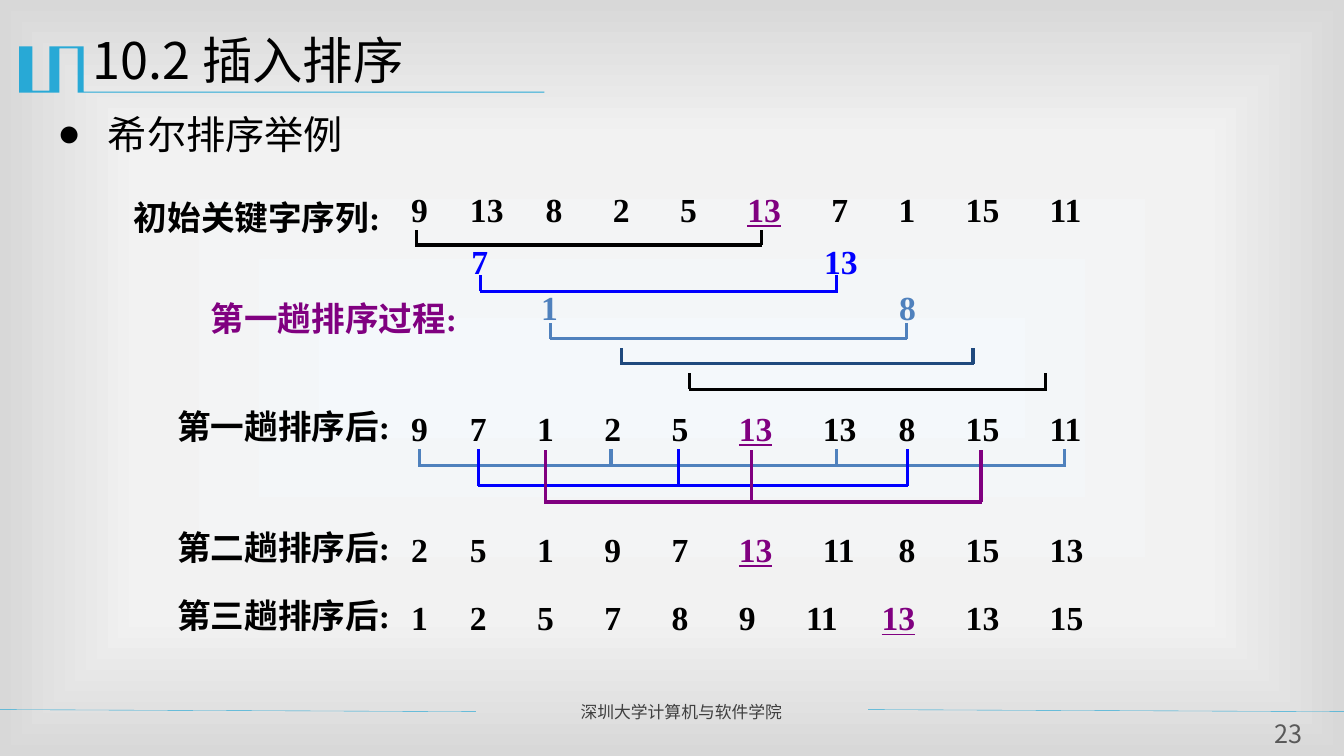
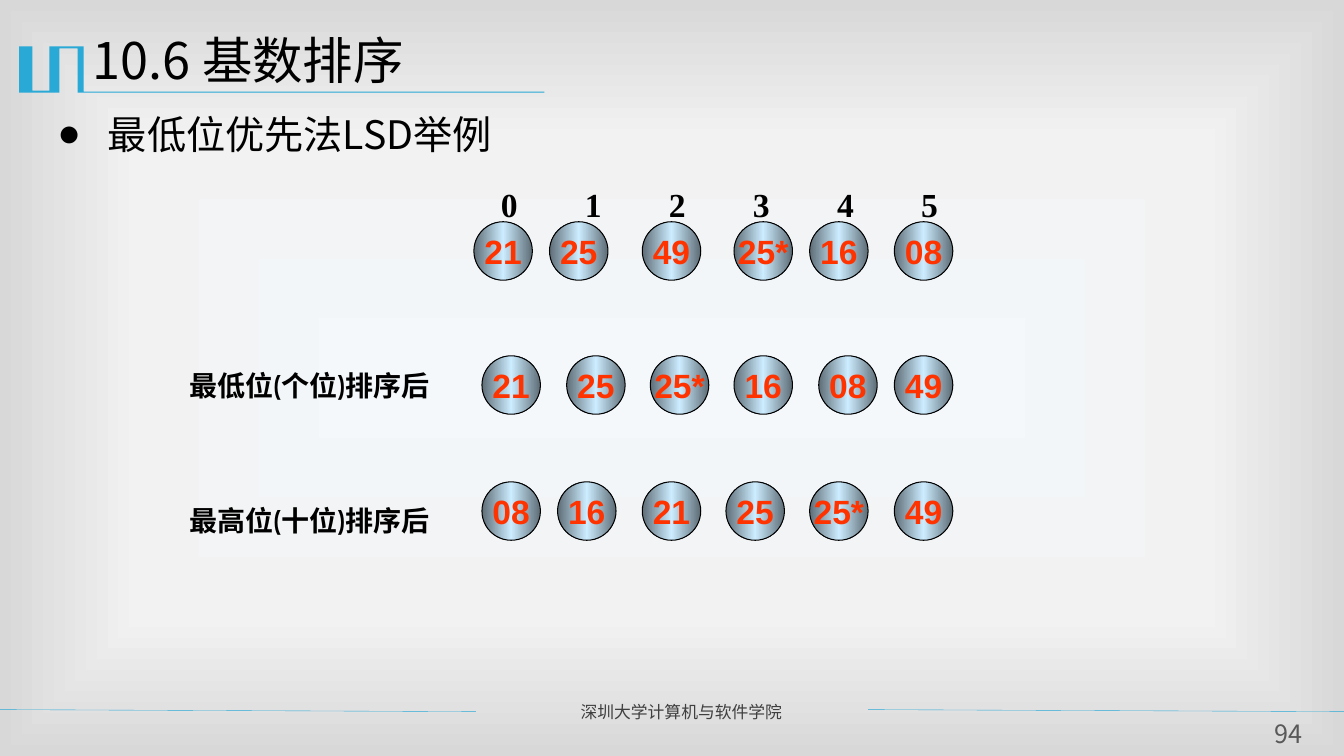
from itertools import accumulate

from lxml.etree import SubElement
from pptx import Presentation
from pptx.dml.color import RGBColor
from pptx.enum.shapes import MSO_CONNECTOR, MSO_SHAPE
from pptx.enum.text import MSO_ANCHOR, PP_ALIGN
from pptx.oxml.ns import qn
from pptx.util import Inches, Pt

SANS, SERIF = "Noto Sans CJK SC", "Times New Roman"
BLACK, BLUE, STEEL, NAVY, PURPLE = "000000", "0000FF", "4F81BD", "1F497D", "800080"
ACCENT, FOOTER_GREY, NUMBER_GREY, RED = "28A9D6", "3F3F3F", "595959", "FF3300"
BACKGROUND = [(0, "F4F8FB"), (63, "F2F2F2"), (100, "D8D8D8")]
BALL_FILL = [(0, "5E6D76"), (50, "CCECFF"), (100, "5E6D76")]

FOOTER = "深圳大学计算机与软件学院"
# Outline in hundredths of an inch
TITLE_MARK = [
    (82, 46), (83, 46), (83, 91), (540, 91), (540, 92), (77, 92), (77, 48), (59, 48),
    (59, 92), (19, 92), (19, 46), (32, 46), (32, 90), (49, 90), (49, 46),
]

# Key rows: top, keys, index of the marked key, indices followed by a narrow gap
KEY_ROWS = [
    (1.86, "9 13 8 2 5 13 7 1 15 11", 5, (0, 1)),
    (4.03, "9 7 1 2 5 13 13 8 15 11", 5, (0, 6)),
    (5.23, "2 5 1 9 7 13 11 8 15 13", 5, (0, 6)),
    (5.91, "1 2 5 7 8 9 11 13 13 15", 7, (0, 6)),
]
ROW_LABELS = [
    (1.23, 1.94, 0.43, "初始关键字序列:", BLACK),
    (1.99, 2.94, 0.43, "第一趟排序过程:", PURPLE),
    (1.66, 4.03, 0.39, "第一趟排序后:", BLACK),
    (1.66, 5.23, 0.39, "第二趟排序后:", BLACK),
    (1.66, 5.91, 0.39, "第三趟排序后:", BLACK),
]
# Swapped keys: left, top, key, colour
SWAPPED_KEYS = [
    (4.46, 2.39, "7", BLUE), (8.04, 2.39, "13", BLUE),
    (5.15, 2.85, "1", STEEL), (8.7, 2.85, "8", STEEL),
]
# Brackets: colour, top of the ticks, base line, x of each tick
BRACKETS = [
    (BLACK, 2.28, 2.43, (4.13, 7.55)),
    (BLUE, 2.73, 2.89, (4.77, 8.3)),
    (STEEL, 3.2, 3.36, (5.46, 8.99)),
    (NAVY, 3.45, 3.61, (6.16, 9.65)),
    (BLACK, 3.7, 3.86, (6.84, 10.37)),
    (STEEL, 4.45, 4.62, (4.16, 6.06, 8.3, 10.56)),
    (BLUE, 4.45, 4.82, (4.75, 6.73, 9)),
    (PURPLE, 4.46, 4.98, (5.41, 7.45, 9.73)),
]

# Ball rows: top, then each value with its left edge
BALL_ROWS = [
    (2.2, [("21", 4.7), ("25", 5.45), ("49", 6.37), ("25*", 7.28), ("16", 8.03), ("08", 8.87)]),
    (3.53, [("21", 4.78), ("25", 5.62), ("25*", 6.45), ("16", 7.28), ("08", 8.12), ("49", 8.87)]),
    (4.78, [("08", 4.78), ("16", 5.53), ("21", 6.37), ("25", 7.2), ("25*", 8.03), ("49", 8.87)]),
]
BALL_SIZE = 0.58
PASS_LABELS = ["最低位(个位)排序后", "最高位(十位)排序后"]


def rgb(value):
    return RGBColor.from_string(value)


def style(para, size, font, color, bold=False):
    for span in para.runs:
        span.font.size, span.font.name, span.font.bold = Pt(size), font, bold
        span.font.color.rgb = rgb(color)
        SubElement(span.font._element, qn("a:ea"), typeface=SANS)


def set_gradient(owner, fill, stops, direction):
    """Fill with the stops; direction adds the linear or path element."""
    fill.gradient()
    gradient = owner.element.find(".//" + qn("a:gradFill"))
    for child in list(gradient):
        gradient.remove(child)
    stop_list = SubElement(gradient, qn("a:gsLst"))
    for percent, color in stops:
        stop = SubElement(stop_list, qn("a:gs"), pos=str(percent * 1000))
        SubElement(stop, qn("a:srgbClr"), val=color)
    direction(gradient)


def left_to_right(gradient):
    SubElement(gradient, qn("a:lin"), ang="0", scaled="0")


def from_centre(gradient):
    rect = SubElement(gradient, qn("a:path"), path="rect")
    SubElement(rect, qn("a:fillToRect"), l="50000", t="50000", r="50000", b="50000")


def add_line(page, start, end, color, width):
    line = page.shapes.add_connector(
        MSO_CONNECTOR.STRAIGHT, *[Inches(value) for value in (*start, *end)])
    line.line.color.rgb, line.line.width = rgb(color), Pt(width)
    SubElement(line.element.spPr, qn("a:effectLst"))
    return line


def add_text(page, at, text, size, font, color, bold=False, wrap=False,
             align=PP_ALIGN.LEFT, anchor=MSO_ANCHOR.MIDDLE):
    box = page.shapes.add_textbox(*[Inches(value) for value in at])
    frame = box.text_frame
    frame.text = text
    frame.word_wrap, frame.vertical_anchor = wrap, anchor
    for para in frame.paragraphs:
        para.alignment = align
        style(para, size, font, color, bold)
    return box


def set_tabs(para, positions):
    """Add left tab stops, given in points from the text edge."""
    tabs = SubElement(para._p.get_or_add_pPr(), qn("a:tabLst"))
    for position in positions:
        SubElement(tabs, qn("a:tab"), pos=str(Pt(position)), algn="l")


def add_key_row(page, top, keys, marked, narrow):
    keys = keys.split()
    box = add_text(page, (3.98, top, 7, 0.43), "", 24, SERIF, BLACK, wrap=True)
    para = box.text_frame.paragraphs[0]
    steps = [12 * len(key) + (30 if index in narrow else 36)
             for index, key in enumerate(keys[:-1])]
    set_tabs(para, accumulate(steps))
    parts = ["\t".join(keys[:marked]) + "\t", keys[marked], "\t" + "\t".join(keys[marked + 1:])]
    for part in parts:
        para.add_run().text = part
    style(para, 24, SERIF, BLACK, bold=True)
    marked_font = para.runs[1].font
    marked_font.underline, marked_font.color.rgb = True, rgb(PURPLE)


def add_bracket(page, color, top, base, ticks):
    add_line(page, (ticks[0] - 0.01, base), (ticks[-1] + 0.01, base), color, 2.25)
    for x in ticks:
        add_line(page, (x, base), (x, top), color, 2.25)


def add_ball(page, left, top, value):
    size = Inches(BALL_SIZE)
    ball = page.shapes.add_shape(MSO_SHAPE.OVAL, Inches(left), Inches(top), size, size)
    ball.shadow.inherit = False
    set_gradient(ball, ball.fill, BALL_FILL, left_to_right)
    ball.line.color.rgb, ball.line.width = rgb(BLACK), Pt(0.75)
    frame = ball.text_frame
    frame.text = value
    frame.word_wrap, frame.vertical_anchor = False, MSO_ANCHOR.MIDDLE
    frame.paragraphs[0].alignment = PP_ALIGN.CENTER
    style(frame.paragraphs[0], 24, "Arial", RED, bold=True)


def build_master(deck, page):
    """Draw the shared parts on a page, then hand them to its master."""
    master = deck.slide_master
    set_gradient(master, master.background.fill, BACKGROUND, from_centre)
    outline = page.shapes.build_freeform(*TITLE_MARK[0], scale=Inches(0.01))
    outline.add_line_segments(TITLE_MARK[1:], close=True)
    mark = outline.convert_to_shape()
    mark.shadow.inherit = False
    mark.fill.solid()
    mark.fill.fore_color.rgb = rgb(ACCENT)
    mark.line.fill.background()
    rules = [add_line(page, (x, 7.04), (x + 4.72, 7.06), ACCENT, 0.25) for x in (0, 8.61)]
    footer = add_text(page, (5.66, 6.91, 2.85, 0.3), FOOTER, 12, SANS, FOOTER_GREY,
                      wrap=True, anchor=MSO_ANCHOR.TOP)
    for part in (mark, *rules, footer):
        master.shapes.element.append(part.element)


def add_page(deck, title, topic, number):
    page = deck.slides.add_slide(deck.slide_layouts[1])
    heading, body = page.placeholders
    for holder, at, text, size in ((heading, (0.82, 0.24, 12, 0.87), title, 36),
                                   (body, (0.47, 1.04, 12.13, 5.63), topic, 28)):
        holder.left, holder.top, holder.width, holder.height = [Inches(value) for value in at]
        holder.text_frame.text = text
        holder.text_frame.vertical_anchor = MSO_ANCHOR.TOP
        para = holder.text_frame.paragraphs[0]
        para.alignment, para.space_before = PP_ALIGN.LEFT, Pt(0)
        style(para, size, SANS, BLACK)
    props = body.text_frame.paragraphs[0]._p.get_or_add_pPr()
    props.set("marL", str(Inches(0.5)))
    props.set("indent", str(Inches(-0.5)))
    SubElement(props, qn("a:buFont"), typeface="Arial")
    SubElement(props, qn("a:buChar"), char="●")
    number_box = add_text(page, (12.48, 7.13, 0.59, 0.31), number, 18, SANS, NUMBER_GREY,
                          align=PP_ALIGN.CENTER, anchor=MSO_ANCHOR.TOP)
    frame = number_box.text_frame
    frame.margin_left = frame.margin_top = frame.margin_right = frame.margin_bottom = 0
    return page


def build_shell_sort(page):
    for row in KEY_ROWS:
        add_key_row(page, *row)
    for left, top, height, label, color in ROW_LABELS:
        add_text(page, (left, top, 2.68, height), label, 24, SERIF, color, bold=True, wrap=True)
    for left, top, key, color in SWAPPED_KEYS:
        add_text(page, (left, top, 0.6, 0.39), key, 24, SERIF, color, bold=True,
                 align=PP_ALIGN.CENTER)
    for bracket in BRACKETS:
        add_bracket(page, *bracket)


def build_radix_sort(page):
    digits = add_text(page, (4.87, 1.78, 4.87, 0.5), "\t".join("012345"), 24, SERIF, BLACK,
                      bold=True, wrap=True, anchor=MSO_ANCHOR.TOP)
    set_tabs(digits.text_frame.paragraphs[0], range(60, 301, 60))
    for top, balls in BALL_ROWS:
        for value, left in balls:
            add_ball(page, left, top, value)
    labels = add_text(page, (1.78, 3.61, 2.75, 1.78), "\n".join(PASS_LABELS), 20, "Cabin",
                      BLACK, bold=True, wrap=True, anchor=MSO_ANCHOR.TOP)
    labels.text_frame.paragraphs[1].space_before = Pt(72)


def main():
    deck = Presentation()
    deck.slide_width, deck.slide_height = Inches(13.33), Inches(7.5)
    shell_page = add_page(deck, "10.2 插入排序", "希尔排序举例", "23")
    build_master(deck, shell_page)
    build_shell_sort(shell_page)
    build_radix_sort(add_page(deck, "10.6 基数排序", "最低位优先法LSD举例", "94"))
    deck.save("out.pptx")


if __name__ == "__main__":
    main()
